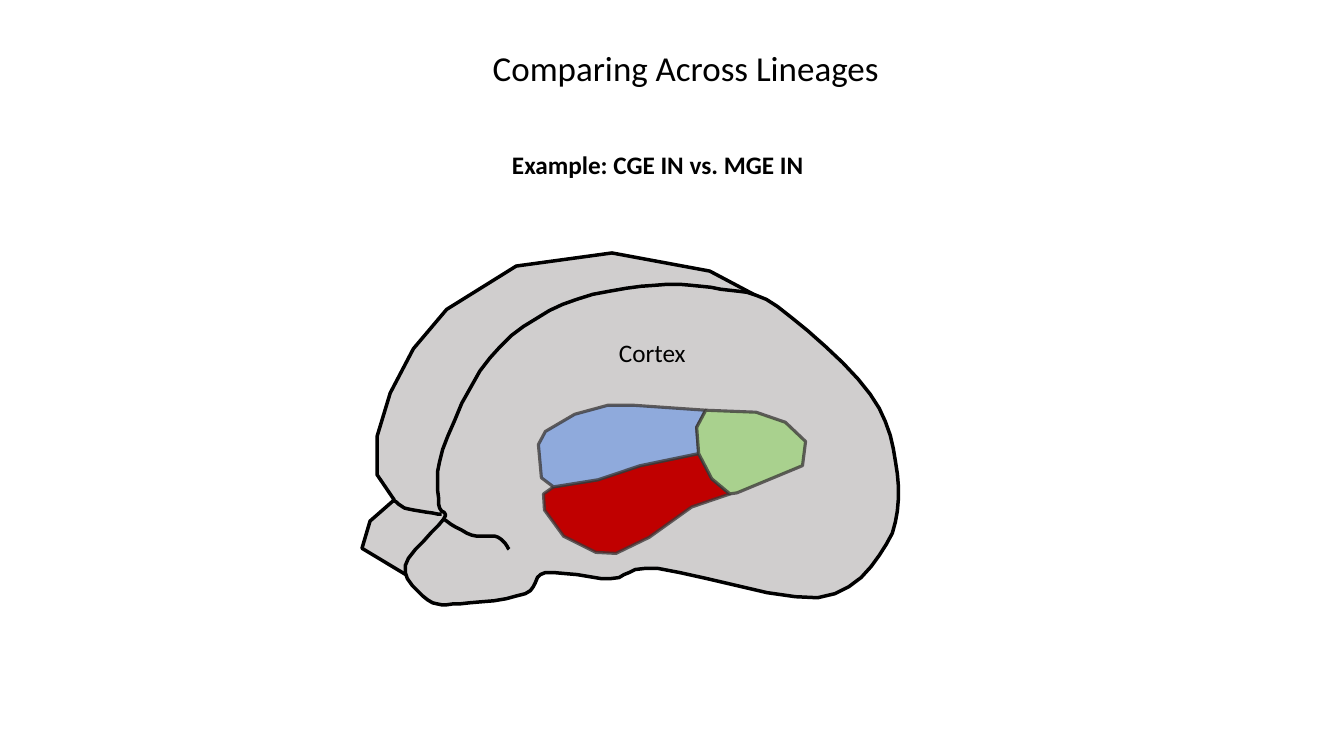
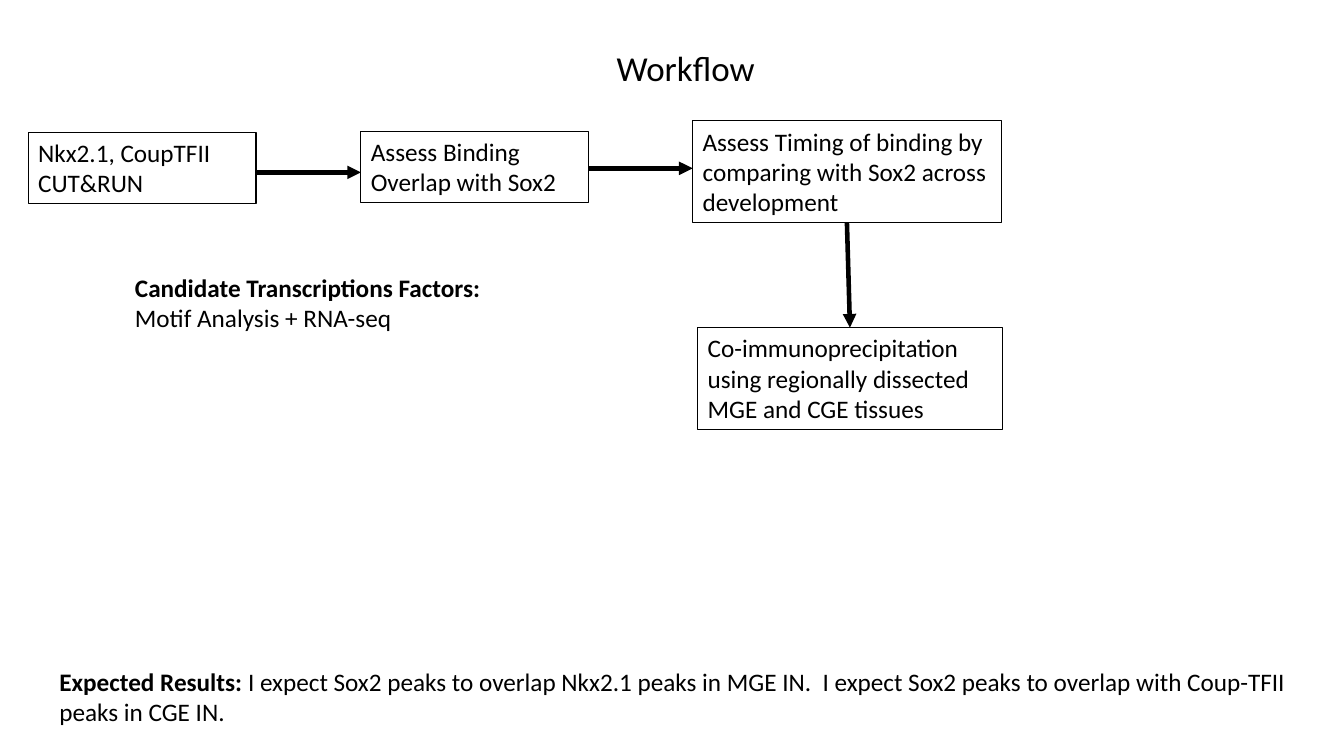
from dataclasses import dataclass
from typing import Any, Optional

import pptx
import pptx.dml.color
import pptx.enum.shapes
import pptx.enum.text
import pptx.oxml
import pptx.oxml.ns
import pptx.util

COLS, ROWS = 1333, 750
CELL = pptx.util.Inches(13.33) // COLS
FONT = "Calibri"
TITLE_SIZE, BODY_SIZE = 25, 18
OUTLINE, REGION_LINE, BOX_LINE, ARROW_LINE = 2.5, 2.25, 0.75, 3.25
REGION_OPACITY = 76
CURVE_STEPS = 6
BOX_COLS = 226
TWO_LINES, THREE_LINES = 71, 101
COLORS = {
    "paper": "FFFFFF",
    "ink": "000000",
    "region_ink": "3B3838",
    "cortex": "D0CECE",
    "red": "C00000",
    "blue": "8FAADC",
    "green": "A9D18E",
}

Point = tuple[float, float]


@dataclass(frozen=True)
class Span:
    text: str
    bold: bool = False


@dataclass(frozen=True)
class Label:
    col: int
    row: int
    cols: int
    rows: int
    paragraphs: tuple[tuple[Span, ...], ...]
    size: int = BODY_SIZE
    centered: bool = False
    boxed: bool = False


@dataclass(frozen=True)
class Outline:
    points: list[Point]
    fill: Optional[str] = None
    line: str = "ink"
    width: float = OUTLINE
    curved: bool = False
    opacity: int = 100


@dataclass(frozen=True)
class Arrow:
    start: Point
    end: Point


def region(points: list[Point], fill: str) -> Outline:
    return Outline(points, fill, "region_ink", REGION_LINE, opacity=REGION_OPACITY)


def box(col: int, row: int, cols: int, rows: int, *lines: str) -> Label:
    return Label(col, row, cols, rows, tuple((Span(t),) for t in lines), boxed=True)


BACK_HEMISPHERE = [
    (770, 304), (704, 269), (607, 251), (512, 264), (443, 307), (410, 346),
    (387, 390), (374, 433), (374, 471), (391, 496), (367, 517), (359, 544),
    (404, 571), (480, 500),
]
FRONT_HEMISPHERE = [
    (440, 515), (402, 561), (424, 595), (457, 599), (521, 589), (541, 568),
    (606, 574), (653, 564), (811, 593), (879, 540), (890, 470), (863, 391),
    (771, 304), (715, 287), (650, 283), (558, 302), (486, 355), (439, 446),
    (435, 500),
]
LOWER_FOLD = [(440, 515), (468, 531), (494, 533), (505, 545)]
UPPER_FOLD = [(390, 496), (405, 505), (438, 510)]
MEETING = (693, 450)
BLUE_RED_SEAM = [(549, 483), (593, 476), (635, 462)]
GREEN_RED_SEAM = [(706, 475), (724, 490)]
BLUE_GREEN_SEAM = [(691, 424), (700, 407)]
BRAIN = [
    Outline(BACK_HEMISPHERE, "cortex"),
    Outline(FRONT_HEMISPHERE, "cortex", curved=True),
    Outline(LOWER_FOLD, curved=True),
    Outline(UPPER_FOLD, curved=True),
    region(BLUE_RED_SEAM + [MEETING] + GREEN_RED_SEAM + [
        (686, 503), (644, 533), (611, 549), (591, 548), (559, 532),
        (540, 506), (539, 490)], "red"),
    region(BLUE_RED_SEAM + [MEETING] + BLUE_GREEN_SEAM + [
        (628, 402), (603, 402), (570, 411), (541, 428), (534, 441),
        (537, 474)], "blue"),
    region(GREEN_RED_SEAM[::-1] + [MEETING] + BLUE_GREEN_SEAM + [
        (750, 409), (779, 419), (799, 438), (796, 462), (731, 489)], "green"),
]
BRAIN_LABELS = [
    Label(604, 330, 89, 40, ((Span("Cortex"),),)),
    Label(498, 143, 337, 40, ((Span("Example: CGE IN vs. MGE IN", True),),)),
]
WORKFLOW_LABELS = [
    Label(49, 656, 1261, TWO_LINES, ((
        Span("Expected Results: ", True),
        Span("I expect Sox2 peaks to overlap Nkx2.1 peaks in MGE IN.  "
             "I expect Sox2 peaks to overlap with Coup-TFII peaks in CGE IN."),
    ),)),
    box(28, 131, BOX_COLS, TWO_LINES, "Nkx2.1, CoupTFII", "CUT&RUN"),
    box(358, 130, BOX_COLS, TWO_LINES, "Assess Binding Overlap with Sox2"),
    box(687, 120, 306, THREE_LINES,
        "Assess Timing of binding by comparing with Sox2 across development"),
    box(692, 325, 302, THREE_LINES,
        "Co-immunoprecipitation using regionally dissected MGE and CGE tissues"),
    Label(124, 265, 363, TWO_LINES, ((
        Span("Candidate Transcriptions Factors: ", True),
        Span("Motif Analysis + RNA-seq"),
    ),)),
]
WORKFLOW_ARROWS = [
    Arrow((254, 171), (358, 171)),
    Arrow((584, 167), (687, 167)),
    Arrow((840, 221), (843, 325)),
]


def rgb(name: str) -> pptx.dml.color.RGBColor:
    return pptx.dml.color.RGBColor.from_string(COLORS[name])


def cells(n: float) -> int:
    return round(n * CELL)


def smooth(points: list[Point], closed: bool) -> list[Point]:
    n = len(points)

    def at(i: int) -> Point:
        return points[i % n] if closed else points[max(0, min(n - 1, i))]

    result = []
    for i in range(n if closed else n - 1):
        knots = list(zip(at(i - 1), at(i), at(i + 1), at(i + 2)))
        for step in range(CURVE_STEPS):
            t = step / CURVE_STEPS
            x, y = (
                b + t * (c - a) / 2 + t**2 * (a - 2.5 * b + 2 * c - d / 2)
                + t**3 * (3 * b - a - 3 * c + d) / 2
                for a, b, c, d in knots
            )
            result.append((x, y))
    return result if closed else result + [points[-1]]


def set_line(line: Any, color: str, width: float) -> None:
    line.color.rgb = rgb(color)
    line.width = pptx.util.Pt(width)


def draw_label(s: Any, label: Label) -> None:
    sp = s.shapes.add_textbox(
        *map(cells, (label.col, label.row, label.cols, label.rows)))
    if label.boxed:
        set_line(sp.line, "ink", BOX_LINE)
    tf = sp.text_frame
    tf.word_wrap = True
    tf.auto_size = pptx.enum.text.MSO_AUTO_SIZE.SHAPE_TO_FIT_TEXT
    for i, spans in enumerate(label.paragraphs):
        p = tf.add_paragraph() if i else tf.paragraphs[0]
        if label.centered:
            p.alignment = pptx.enum.text.PP_ALIGN.CENTER
        p.font.name = FONT
        p.font.size = pptx.util.Pt(label.size)
        p.font.color.rgb = rgb("ink")
        for span in spans:
            r = p.add_run()
            r.text = span.text
            r.font.bold = span.bold


def draw_outline(s: Any, outline: Outline) -> None:
    closed = outline.fill is not None
    points = smooth(outline.points, closed) if outline.curved else outline.points
    builder = s.shapes.build_freeform(*points[0], scale=CELL)
    builder.add_line_segments(points[1:], close=closed)
    sp = builder.convert_to_shape()
    sp.shadow.inherit = False
    if closed:
        sp.fill.solid()
        sp.fill.fore_color.rgb = rgb(outline.fill)
    else:
        sp.fill.background()
    set_line(sp.line, outline.line, outline.width)
    if outline.opacity < 100:
        ln = sp._element.spPr.find(pptx.oxml.ns.qn("a:ln"))
        color = ln.find(".//" + pptx.oxml.ns.qn("a:srgbClr"))
        color.append(pptx.oxml.parse_xml(
            f'<a:alpha {pptx.oxml.ns.nsdecls("a")} val="{outline.opacity * 1000}"/>'))


def draw_arrow(s: Any, arrow: Arrow) -> None:
    sp = s.shapes.add_connector(
        pptx.enum.shapes.MSO_CONNECTOR.STRAIGHT,
        *map(cells, arrow.start + arrow.end))
    set_line(sp.line, "ink", ARROW_LINE)
    ns = pptx.oxml.ns.nsdecls("a")
    sp._element.spPr.find(pptx.oxml.ns.qn("a:ln")).append(
        pptx.oxml.parse_xml(f'<a:tailEnd {ns} type="triangle"/>'))
    sp._element.spPr.append(pptx.oxml.parse_xml(f"<a:effectLst {ns}/>"))


def add_slide(prs: Any, title: str) -> Any:
    s = prs.slides.add_slide(prs.slide_layouts[6])
    s.background.fill.solid()
    s.background.fill.fore_color.rgb = rgb("paper")
    draw_label(s, Label(61, 41, 1238, 52, ((Span(title),),), TITLE_SIZE, True))
    return s


def main() -> None:
    prs = pptx.Presentation()
    prs.slide_width = cells(COLS)
    prs.slide_height = cells(ROWS)

    s = add_slide(prs, "Comparing Across Lineages")
    for outline in BRAIN:
        draw_outline(s, outline)
    for label in BRAIN_LABELS:
        draw_label(s, label)

    s = add_slide(prs, "Workflow")
    for label in WORKFLOW_LABELS:
        draw_label(s, label)
    for arrow in WORKFLOW_ARROWS:
        draw_arrow(s, arrow)

    prs.save("out.pptx")


if __name__ == "__main__":
    main()
